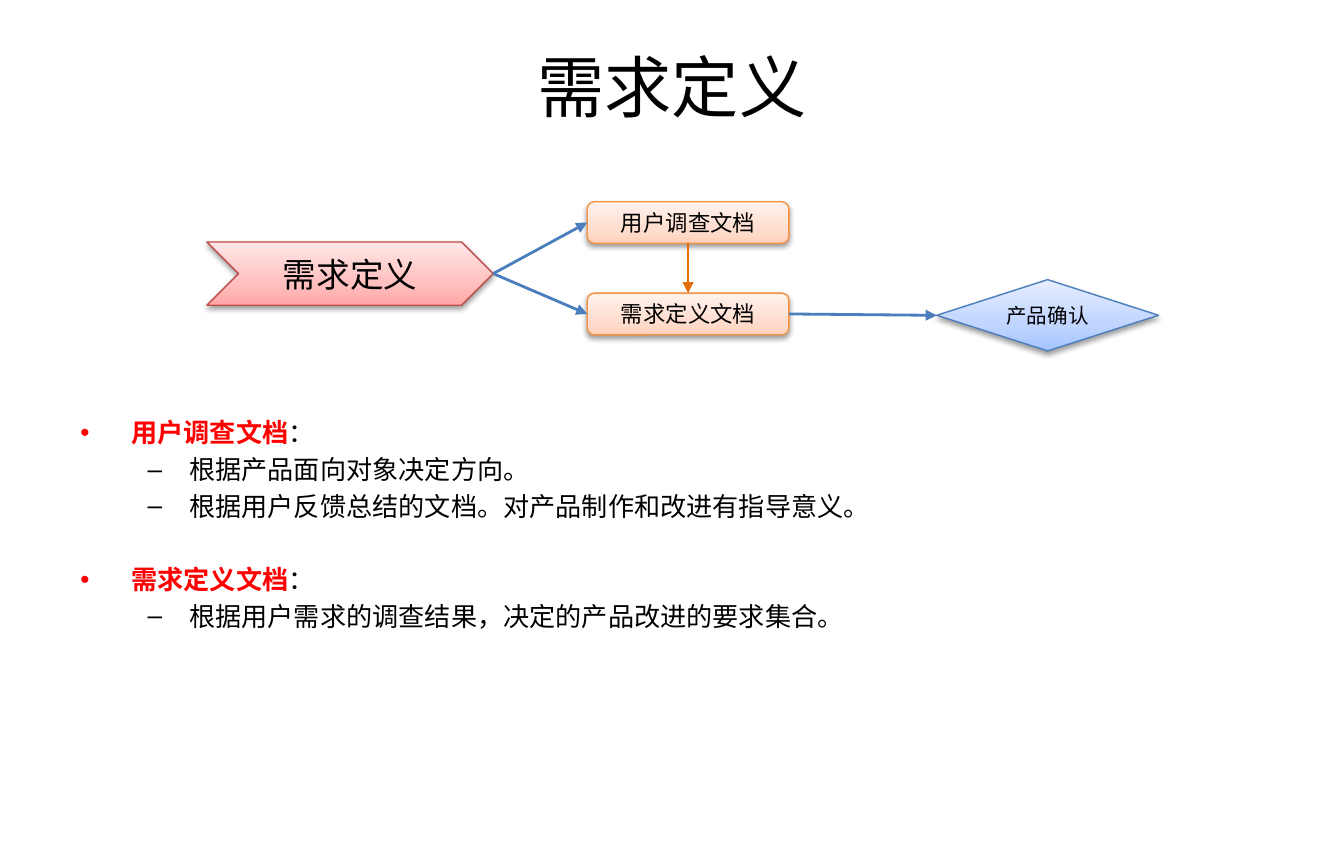
from copy import deepcopy
from dataclasses import dataclass

from lxml import etree
from pptx import Presentation
from pptx import util as u
from pptx.dml.color import RGBColor
from pptx.enum import lang, shapes, text
from pptx.oxml import ns


@dataclass(frozen=True)
class Theme:
    font: str = "Calibri"
    black: str = "000000"
    red: str = "FF0000"
    blue: str = "4B7EBC"
    orange: str = "E46C0A"
    title: float = 36
    body: float = 14
    stage: float = 18
    doc: float = 12
    check: float = 11
    # Line colour, then gradient colours from bottom to top
    rose: tuple = ("BF4C48", "FFA6A5", "FFC0BF", "FFE7E7")
    peach: tuple = ("F69240", "FFD2BD", "FFDED0", "FFF2ED")
    sky: tuple = ("4B7EBC", "A4C4FF", "BFD4FF", "E6EEFF")


T = Theme()
SHAPE = shapes.MSO_SHAPE
STOPS = (0, 0.35, 1)
TOP, LEFT, BOTTOM, RIGHT = range(4)

TOPICS = [
    ("用户调查文档", ["根据产品面向对象决定方向。",
                "根据用户反馈总结的文档。对产品制作和改进有指导意义。"]),
    ("需求定义文档", ["根据用户需求的调查结果，决定的产品改进的要求集合。"]),
]


def node(parent, tag, **attrs):
    """Add a drawing element below parent."""
    child = etree.SubElement(parent, ns.qn(tag))
    for key, value in attrs.items():
        child.set(key, str(value))
    return child


def write(para, words, size=T.body, color=T.black, bold=False):
    run = para.add_run()
    run.text = words
    font = run.font
    font.name, font.size, font.bold = T.font, u.Pt(size), bold
    font.color.rgb = RGBColor.from_string(color)
    font.language_id = lang.MSO_LANGUAGE_ID.SIMPLIFIED_CHINESE


def center(frame, words, size):
    frame.word_wrap = True
    frame.vertical_anchor = text.MSO_ANCHOR.MIDDLE
    para = frame.paragraphs[0]
    para.alignment = text.PP_ALIGN.CENTER
    write(para, words, size=size)


def shade(shape, colors):
    """Give the shape an upward gradient of three colours."""
    shape.fill.gradient()
    shape.fill.gradient_angle = 90
    stops = shape._element.spPr.find(".//" + ns.qn("a:gsLst"))
    stops.insert(1, deepcopy(stops[0]))
    for stop, place, color in zip(shape.fill.gradient_stops, STOPS, colors):
        stop.position = place
        stop.color.rgb = RGBColor.from_string(color)


def drop(shape):
    """Give the shape a soft shadow straight below it."""
    shape.shadow.inherit = False
    effects = shape._element.spPr.find(ns.qn("a:effectLst"))
    outer = node(effects, "a:outerShdw", blurRad=u.Pt(3.1), dist=u.Pt(1.6),
                 dir=5400000, rotWithShape=0)
    node(node(outer, "a:srgbClr", val=T.black), "a:alpha", val=38000)


def step(slide, kind, box, words, size, paint):
    shape = slide.shapes.add_shape(kind, *map(u.Inches, box))
    edge, *colors = paint
    shade(shape, colors)
    shape.line.color.rgb = RGBColor.from_string(edge)
    shape.line.width = u.Pt(0.75)
    drop(shape)
    center(shape.text_frame, words, size)
    return shape


def arrow(slide, start, out, end, into, color=T.blue):
    """Join side out of start to side into of end."""
    link = slide.shapes.add_connector(shapes.MSO_CONNECTOR.STRAIGHT, 0, 0, 0, 0)
    link.begin_connect(start, out)
    link.end_connect(end, into)
    link.line.color.rgb = RGBColor.from_string(color)
    link.line.width = u.Pt(1.5)
    node(link.line._get_or_add_ln(), "a:tailEnd", type="triangle")
    node(link._element.spPr, "a:effectLst")


def item(para, mark, left, hang, level=0, gap=2.8):
    """Set the bullet, indent and space above of a paragraph."""
    para.level = level
    para.space_before = u.Pt(gap)
    props = para._p.get_or_add_pPr()
    props.set("marL", str(u.Inches(left)))
    props.set("indent", str(u.Inches(-hang)))
    node(props, "a:buFont", typeface="Arial")
    node(props, "a:buChar", char=mark)


def head(slide):
    box = slide.shapes.add_textbox(*map(u.Inches, (0.5, 0.26, 9, 0.75)))
    center(box.text_frame, "需求定义", T.title)


def flow(slide):
    stage = step(slide, SHAPE.CHEVRON, (1.54, 1.8, 2.13, 0.47),
                 "需求定义", T.stage, T.rose)
    survey, needs = [
        step(slide, SHAPE.ROUNDED_RECTANGLE, (4.37, top, 1.5, 0.31),
             words, T.doc, T.peach)
        for top, (words, _) in zip((1.5, 2.18), TOPICS)]
    check = step(slide, SHAPE.DIAMOND, (6.97, 2.08, 1.65, 0.53),
                 "产品确认", T.check, T.sky)
    for doc in (survey, needs):
        arrow(slide, stage, RIGHT, doc, LEFT)
    arrow(slide, survey, BOTTOM, needs, TOP, color=T.orange)
    arrow(slide, needs, RIGHT, check, LEFT)


def notes(slide):
    box = slide.shapes.add_textbox(*map(u.Inches, (0.5, 3.05, 9, 2.52)))
    frame = box.text_frame
    frame.word_wrap = True
    for index, (name, points) in enumerate(TOPICS):
        para = frame.add_paragraph() if index else frame.paragraphs[0]
        item(para, "•", 0.38, 0.38, gap=22.4 if index else 2.8)
        write(para, name, color=T.red, bold=True)
        write(para, "：")
        for point in points:
            para = frame.add_paragraph()
            item(para, "–", 0.81, 0.31, level=1)
            write(para, point)


def main():
    deck = Presentation()
    deck.slide_width, deck.slide_height = u.Inches(10), u.Inches(6.41)
    slide = deck.slides.add_slide(deck.slide_layouts[6])
    head(slide)
    notes(slide)
    flow(slide)
    deck.save("out.pptx")


if __name__ == "__main__":
    main()
